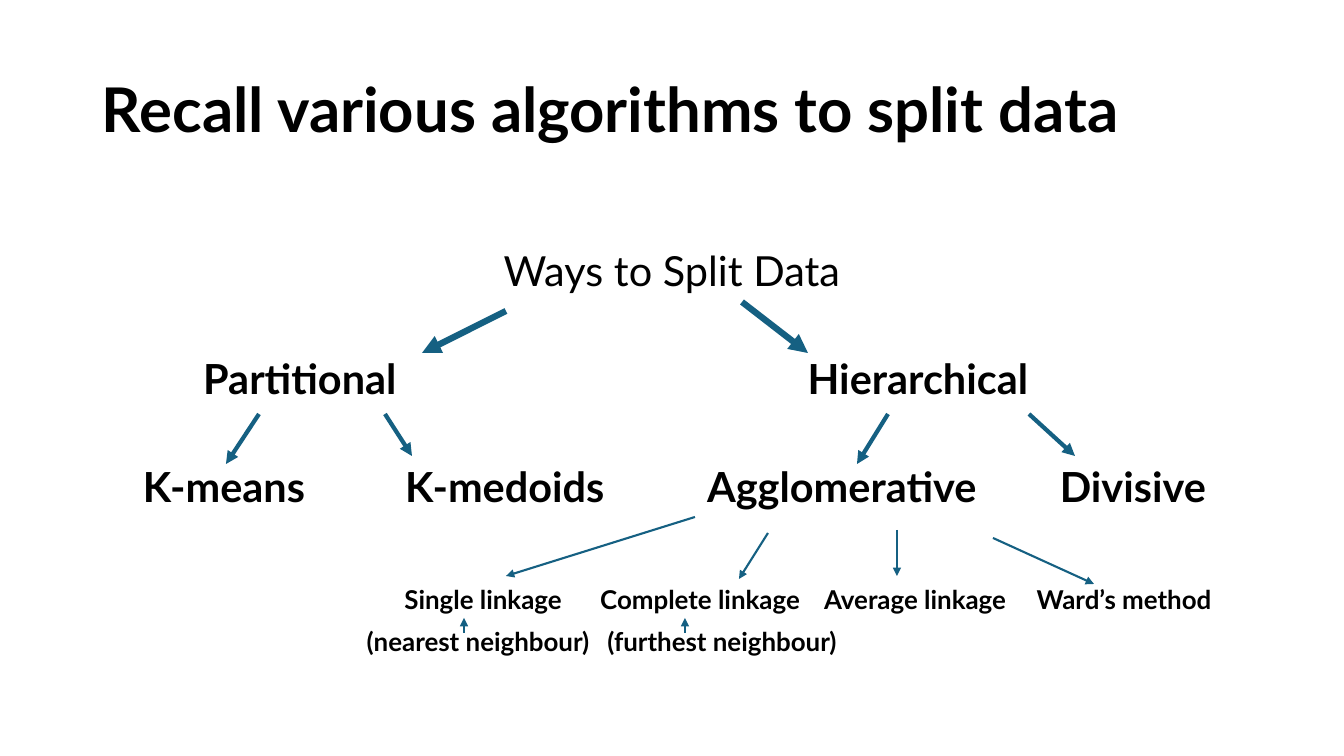
import pptx
import pptx.util
import pptx.dml.color
import pptx.enum.shapes
import pptx.enum.text
import pptx.oxml.ns
from lxml import etree

COLORS = {"text": "000000", "arrow": "156082"}
FONT = "Lato"
PX = 914400 / 100.8

TITLE = "Recall various algorithms to split data"
TITLE_BOX = (92, 40, 1160, 146)

# Tree levels: middle y, size in points, bold, labels as (text, middle x, width)
LEVELS = [
    (270, 29.6, False, [("Ways to Split Data", 672, 335)]),
    (378, 29.6, True, [("Partitional", 300, 192), ("Hierarchical", 918, 220)]),
    (486, 29.6, True, [("K-means", 224, 162), ("K-medoids", 505, 198),
                       ("Agglomerative", 842, 268), ("Divisive", 1133, 146)]),
    (599, 18.5, True, [("Single linkage", 483, 158), ("Complete linkage", 700, 200),
                       ("Average linkage", 915, 182), ("Ward’s method", 1124, 175)]),
    (641, 18.5, True, [("(nearest neighbour)", 478, 224),
                       ("(furthest neighbour)", 722, 231)]),
]

# Arrows by line width in points: x and y of the start, then of the head
ARROWS = {
    4.5: [(506, 311, 422, 353), (742, 302, 808, 353)],
    3: [(259, 414, 226, 464), (385, 414, 412, 456),
        (888, 414, 857, 464), (1029, 414, 1075, 456)],
    1.5: [(768, 533, 739, 579), (897, 530, 897, 576),
          (993, 538, 1094, 584), (695, 517, 506, 576),
          (464, 633, 464, 618), (685, 633, 685, 618)],
}


def px(value):
    return pptx.util.Emu(round(value * PX))


def color(name):
    return pptx.dml.color.RGBColor.from_string(COLORS[name])


def add_text(slide, text, box, size, bold, align, inset, spacing):
    shape = slide.shapes.add_textbox(*map(px, box))
    frame = shape.text_frame
    frame.word_wrap = True
    frame.vertical_anchor = pptx.enum.text.MSO_ANCHOR.MIDDLE
    frame.margin_left = frame.margin_right = px(inset)
    frame.margin_top = frame.margin_bottom = 0
    paragraph = frame.paragraphs[0]
    paragraph.alignment = align
    paragraph.line_spacing = spacing
    run = paragraph.add_run()
    run.text = text
    run.font.name = FONT
    run.font.size = pptx.util.Pt(size)
    run.font.bold = bold
    run.font.color.rgb = color("text")


def add_arrow(slide, ends, width):
    connector = slide.shapes.add_connector(
        pptx.enum.shapes.MSO_CONNECTOR.STRAIGHT, *map(px, ends))
    connector.line.color.rgb = color("arrow")
    connector.line.width = pptx.util.Pt(width)
    properties = connector.element.spPr
    line = properties.find(pptx.oxml.ns.qn("a:ln"))
    etree.SubElement(line, pptx.oxml.ns.qn("a:tailEnd"), type="triangle")
    etree.SubElement(properties, pptx.oxml.ns.qn("a:effectLst"))


def main():
    presentation = pptx.Presentation()
    presentation.slide_width = px(1344)
    presentation.slide_height = px(756)
    slide = presentation.slides.add_slide(presentation.slide_layouts[6])
    alignment = pptx.enum.text.PP_ALIGN

    # Title
    add_text(slide, TITLE, TITLE_BOX, 44, True, alignment.LEFT, 10, 0.9)

    # Tree labels, centred on their middle points
    for middle_y, size, bold, labels in LEVELS:
        height = round(size * 1.7)
        for text, middle_x, text_width in labels:
            width = text_width + 16
            box = (middle_x - width / 2, middle_y - height / 2, width, height)
            add_text(slide, text, box, size, bold, alignment.CENTER, 0, 1.0)

    # Arrows
    for width, arrows in ARROWS.items():
        for ends in arrows:
            add_arrow(slide, ends, width)

    presentation.save("out.pptx")


if __name__ == "__main__":
    main()
